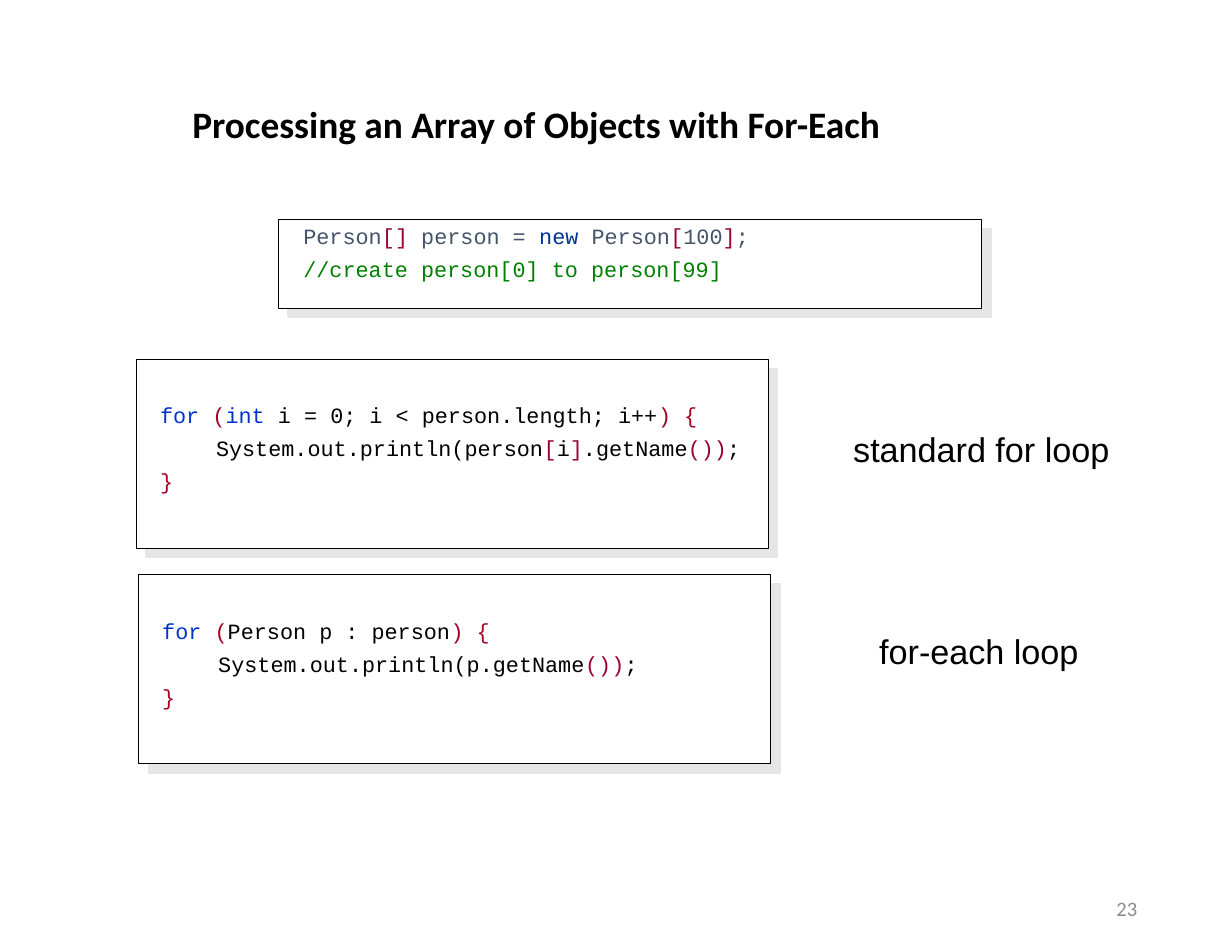
from dataclasses import dataclass

from lxml import etree
from pptx import Presentation
from pptx import util as u
from pptx.dml.color import RGBColor
from pptx.enum import shapes, text
from pptx.oxml.ns import qn

BLACK = "000000"
WHITE = "FFFFFF"
SLATE = "44546A"
NAVY = "003399"
BLUE = "0033CC"
MAROON = "990033"
RED = "A50021"
GREEN = "008000"
GREY = "8C8C8C"
SHADOW = "E7E6E6"


@dataclass(frozen=True)
class Box:
    left: float
    top: float
    width: float
    height: float

    def lengths(self) -> tuple[u.Length, ...]:
        return tuple(u.Cm(v) for v in (self.left, self.top, self.width, self.height))


@dataclass(frozen=True)
class Line:
    spans: tuple[tuple[str, str], ...]
    indent: float = 0


@dataclass(frozen=True)
class Panel:
    box: Box
    code_box: Box
    top_margin: float
    lines: tuple[Line, ...]


@dataclass(frozen=True)
class Label:
    box: Box
    words: str
    size: float = 22
    font: str = "Arial"
    color: str = BLACK
    align: text.PP_ALIGN = text.PP_ALIGN.LEFT
    anchor: text.MSO_ANCHOR = text.MSO_ANCHOR.TOP
    wrap: bool = False


CLOSING = Line((("}", RED),))

PANELS = (
    Panel(Box(6.32, 4.98, 15.95, 2.01), Box(6.63, 5.03, 15.37, 1.55), 0.13, (
        Line((("Person", SLATE), ("[]", MAROON), (" person = ", SLATE), ("new", NAVY),
              (" Person", SLATE), ("[", MAROON), ("100", SLATE), ("]", MAROON),
              (";", SLATE))),
        Line((("//create person[0] to person[99]", GREEN),)),
    )),
    Panel(Box(3.1, 8.15, 14.33, 4.29), Box(3.38, 8.28, 13.77, 3.1), 0.94, (
        Line((("for ", BLUE), ("(", RED), ("int", BLUE),
              (" i = 0; i < person.length; i++", BLACK), (") {", RED))),
        Line((("System.out.println(person", BLACK), ("[", MAROON), ("i", BLACK),
              ("]", MAROON), (".getName", BLACK), ("())", MAROON), (";", BLACK)), 1.27),
        CLOSING,
    )),
    Panel(Box(3.15, 13.03, 14.33, 4.29), Box(3.43, 13.18, 13.77, 3.1), 0.94, (
        Line((("for ", BLUE), ("(", RED), ("Person p : person", BLACK), (") {", RED))),
        Line((("System.out.println(p.getName", BLACK), ("())", MAROON),
              (";", BLACK)), 1.27),
        CLOSING,
    )),
)

LABELS = (
    Label(Box(19.1, 9.58, 6.4, 1.19), "standard for loop"),
    Label(Box(19.69, 14.17, 5.11, 1.19), "for-each loop"),
    Label(Box(19.74, 20.02, 6.3, 1.14), "23", size=13.2, font="Calibri", color=GREY,
          align=text.PP_ALIGN.RIGHT, anchor=text.MSO_ANCHOR.MIDDLE, wrap=True),
)


def rgb(color: str) -> RGBColor:
    return RGBColor.from_string(color)


def write_span(para, words: str, *, size: float, font: str, color: str,
               bold: bool = False) -> None:
    span = para.add_run()
    span.text = words
    span.font.size = u.Pt(size)
    span.font.name = font
    span.font.bold = bold
    span.font.color.rgb = rgb(color)


def add_title(page, words: str) -> None:
    title = page.shapes.title
    title.left, title.top, title.width, title.height = Box(2.18, 2.16, 24.49, 1.3).lengths()
    frame = title.text_frame
    frame.auto_size = text.MSO_AUTO_SIZE.NONE
    frame.margin_left = u.Cm(2.18)
    para = frame.paragraphs[0]
    para.alignment = text.PP_ALIGN.LEFT
    write_span(para, words, size=24, font="Calibri", color=BLACK, bold=True)


def add_shadow(shape) -> None:
    shape.shadow.inherit = False
    effects = shape._element.spPr.find(qn("a:effectLst"))
    shadow = etree.SubElement(effects, qn("a:outerShdw"), blurRad="0",
                              dist=str(u.Pt(8.5)), dir="2700000", algn="ctr",
                              rotWithShape="0")
    etree.SubElement(shadow, qn("a:srgbClr"), val=SHADOW)


def add_panel(page, panel: Panel) -> None:
    card = page.shapes.add_shape(shapes.MSO_SHAPE.RECTANGLE, *panel.box.lengths())
    card.fill.solid()
    card.fill.fore_color.rgb = rgb(WHITE)
    card.line.color.rgb = rgb(BLACK)
    card.line.width = u.Pt(0.75)
    add_shadow(card)

    frame = page.shapes.add_textbox(*panel.code_box.lengths()).text_frame
    frame.word_wrap = True
    frame.margin_top = u.Cm(panel.top_margin)
    for index, line in enumerate(panel.lines):
        para = frame.add_paragraph() if index else frame.paragraphs[0]
        para.line_spacing = 0.8
        para.space_before = u.Pt(7.9 if index else 0)
        if line.indent:
            para._p.get_or_add_pPr().set("marL", str(u.Cm(line.indent)))
        for words, color in line.spans:
            write_span(para, words, size=14, font="Courier New", color=color)


def add_label(page, label: Label) -> None:
    frame = page.shapes.add_textbox(*label.box.lengths()).text_frame
    frame.word_wrap = label.wrap
    frame.vertical_anchor = label.anchor
    para = frame.paragraphs[0]
    para.alignment = label.align
    write_span(para, label.words, size=label.size, font=label.font, color=label.color)


def main() -> None:
    deck = Presentation()
    deck.slide_width, deck.slide_height = u.Cm(27.94), u.Cm(21.59)
    page = deck.slides.add_slide(deck.slide_layouts.get_by_name("Title Only"))
    add_title(page, "Processing an Array of Objects with For-Each")
    for panel in PANELS:
        add_panel(page, panel)
    for label in LABELS:
        add_label(page, label)
    deck.save("out.pptx")


if __name__ == "__main__":
    main()
